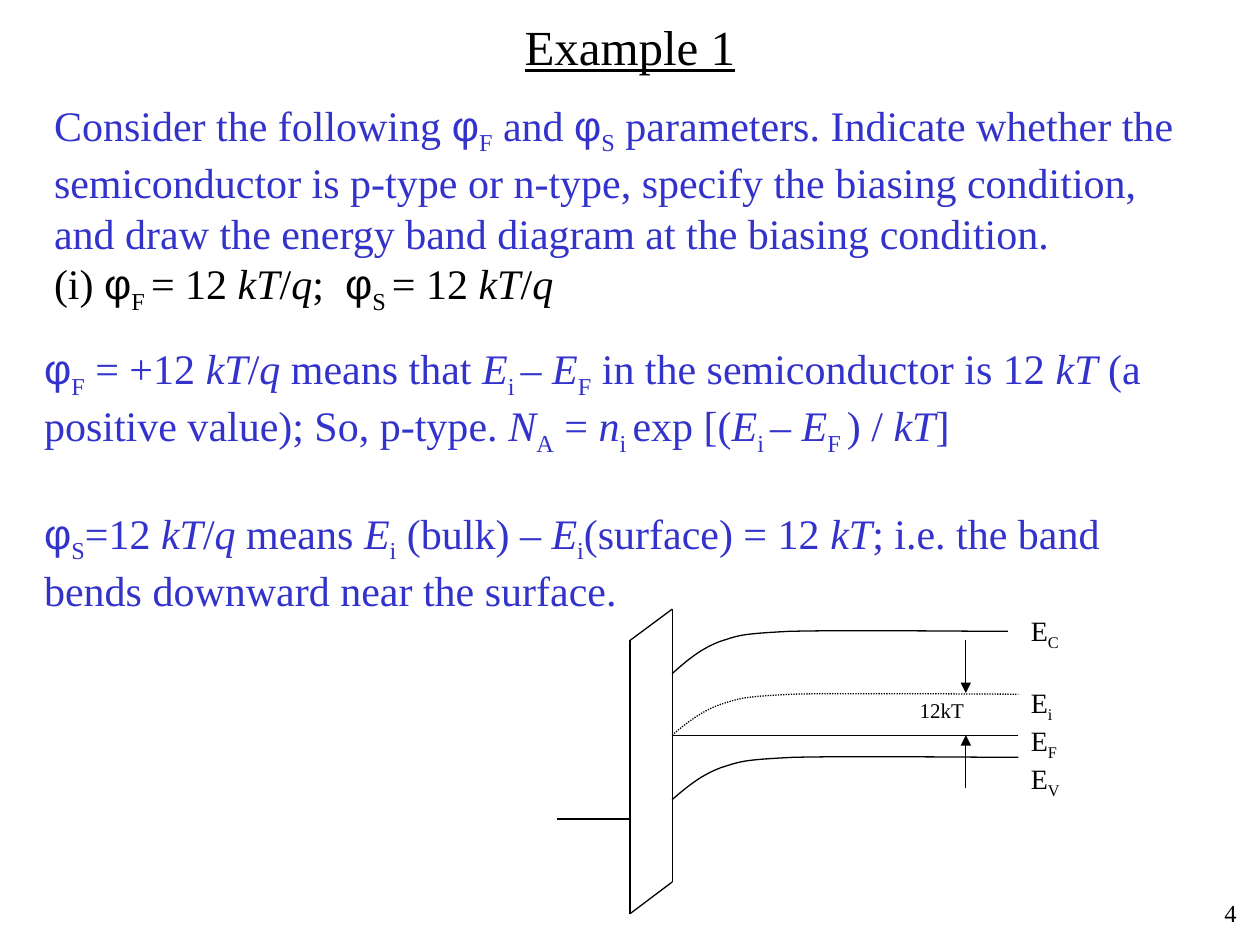
import itertools

import lxml.etree
import pptx
import pptx.dml.color
import pptx.enum.dml
import pptx.enum.text
import pptx.oxml.ns
import pptx.util

Cm, Pt = pptx.util.Cm, pptx.util.Pt
ALIGN = pptx.enum.text.PP_ALIGN
BLACK, BLUE = "000000", "3333CC"
SERIF, SANS = "Times New Roman", "Arial"

WALL, GATE, END = 13.55, 12.7, 20.53
FERMI, TIP = 14.82, 19.47
# Band shape as shares of width and height: a start and three Bezier pieces
BEND = [(0, 1), (0.04, 0.73), (0.08, 0.45), (0.14, 0.27), (0.2, 0.12),
        (0.2, 0.09), (0.35, 0.03), (0.49, 0), (0.9, 0.03), (1, 0.03)]


def rgb(code):
    return pptx.dml.color.RGBColor.from_string(code)


def add_runs(para, text):
    """Fill para: _x_ is a subscript, *x* is italic, φ is sans."""
    for i, part in enumerate(text.split("_")):
        for j, bit in enumerate(part.split("*")):
            for phi, chars in itertools.groupby(bit, lambda c: c == "φ"):
                run = para.add_run()
                run.text = "".join(chars)
                if phi:
                    run.font.name = SANS
                if j % 2:
                    run.font.italic = True
                if i % 2:
                    run.font._element.set("baseline", "-25000")


def add_text(slide, box, lines, size, align=ALIGN.LEFT, wrap=True, inset=None):
    """Place lines of (text, colour, points before)."""
    shape = slide.shapes.add_textbox(*map(Cm, box))
    frame = shape.text_frame
    frame.word_wrap = wrap
    frame.auto_size = pptx.enum.text.MSO_AUTO_SIZE.SHAPE_TO_FIT_TEXT
    if inset is not None:
        frame.margin_left = frame.margin_right = Cm(inset)
        frame.margin_top = frame.margin_bottom = Cm(inset)
    for i, (text, color, gap) in enumerate(lines):
        para = frame.add_paragraph() if i else frame.paragraphs[0]
        para.alignment = align
        if gap:
            para.space_before = Pt(gap)
        add_runs(para, text)
        para.font.name = SERIF
        para.font.size = Pt(size)
        para.font.color.rgb = rgb(color)
    return frame


def add_line(slide, x1, y1, x2, y2, arrow=False):
    line = slide.shapes.add_connector(1, Cm(x1), Cm(y1), Cm(x2), Cm(y2))
    line.line.color.rgb = rgb(BLACK)
    line.line.width = Pt(0.75)
    qn = pptx.oxml.ns.qn
    if arrow:
        tail = lxml.etree.SubElement(line.line._get_or_add_ln(), qn("a:tailEnd"))
        tail.set("type", "triangle")
    lxml.etree.SubElement(line._element.spPr, qn("a:effectLst"))


def bezier(a, b, c, d, t):
    s = 1 - t
    return s**3 * a + 3 * s * s * t * b + 3 * s * t * t * c + t**3 * d


def add_band(slide, top, width, height, dotted=False):
    spots = [(Cm(WALL + x * width), Cm(top + y * height)) for x, y in BEND]
    curve = [tuple(bezier(*axis, step / 12) for axis in zip(*spots[k:k + 4]))
             for k in (0, 3, 6) for step in range(1, 13)]
    path = slide.shapes.build_freeform(*spots[0])
    path.add_line_segments(curve, close=False)
    band = path.convert_to_shape()
    band.shadow.inherit = False
    band.fill.background()
    band.line.color.rgb = rgb(BLACK)
    band.line.width = Pt(0.75)
    if dotted:
        band.line.dash_style = pptx.enum.dml.MSO_LINE.ROUND_DOT


def add_diagram(slide):
    add_line(slide, WALL, 12.28, WALL, 17.78)
    add_line(slide, GATE, 12.91, GATE, 18.42)
    for left, right in ((12.91, 12.28), (18.42, 17.78)):
        add_line(slide, GATE, left, WALL, right)
    add_line(slide, 11.22, 16.51, GATE, 16.51)
    add_line(slide, GATE, 16.09, GATE, 17.36)

    add_line(slide, WALL, FERMI, END, FERMI)
    add_band(slide, 12.7, 6.77, 0.88)
    add_band(slide, 13.97, END - WALL, 0.85, dotted=True)
    add_band(slide, 15.24, END - WALL, 0.88)

    add_line(slide, TIP, 12.91, TIP, 13.97, arrow=True)
    add_line(slide, TIP, 15.88, TIP, FERMI, arrow=True)
    add_text(slide, (18.54, 14.07, 1.1, 0.51), [("12kT", BLACK, 0)], 12,
             wrap=False, inset=0)
    labels = [("E_C_", BLACK, 0), ("E_i_", BLACK, 19),
              ("E_F_", BLACK, 0), ("E_V_", BLACK, 0)]
    add_text(slide, (END, 12.25, 1.1, 4.11), labels, 16, wrap=False)


def main():
    deck = pptx.Presentation()
    deck.slide_width, deck.slide_height = Cm(25.4), Cm(19.05)
    slide = deck.slides.add_slide(deck.slide_layouts[6])

    add_text(slide, (19.88, 17.98, 5.3, 0.84), [("4", BLACK, 0)], 14, ALIGN.RIGHT)
    title = add_text(slide, (1.9, 0.2, 21.6, 1.45), [("Example 1", BLACK, 0)],
                     28, ALIGN.CENTER)
    title.paragraphs[0].font.underline = True
    add_text(slide, (0.84, 1.88, 23.5, 4.6), [
        ("Consider the following φ_F_ and φ_S_ parameters. Indicate whether the "
         "semiconductor is p-type or n-type, specify the biasing condition, "
         "and draw the energy band diagram at the biasing condition.", BLUE, 0),
        ("(i) φ_F _= 12 *kT*/*q*;  φ_S _= 12 *kT*/*q*", BLACK, 0),
    ], 24)
    add_text(slide, (0.64, 6.78, 23.8, 5.77), [
        ("φ_F_ = +12 *kT*/*q* means that *E*_i _– *E*_F_ in the semiconductor "
         "is 12 *kT* (a", BLUE, 0),
        ("positive value); So, p-type. *N*_A_ = *n*_i _exp [(*E*_i _– *E*_F _) "
         "/ *kT*]", BLUE, 0),
        ("φ_S_=12 *kT*/*q* means *E*_i_ (bulk) – *E*_i_(surface) = 12 *kT*; "
         "i.e. the band bends downward near the surface.", BLUE, 28.5),
    ], 24)
    add_diagram(slide)
    deck.save("out.pptx")


if __name__ == "__main__":
    main()
